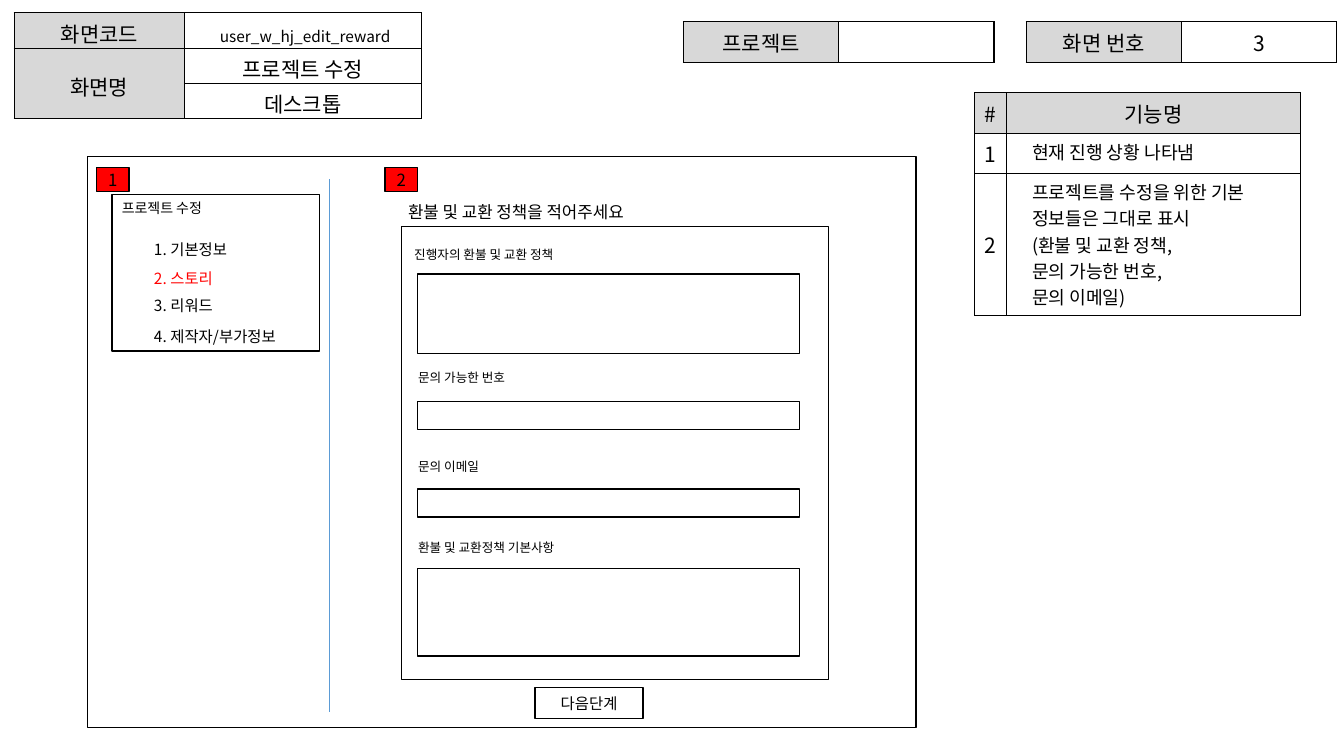
from lxml import etree
from pptx import Presentation
from pptx.dml.color import RGBColor
from pptx.enum.shapes import MSO_CONNECTOR, MSO_SHAPE
from pptx.enum.text import MSO_ANCHOR, PP_ALIGN
from pptx.oxml.ns import qn
from pptx.util import Pt

BLACK = RGBColor(0x00, 0x00, 0x00)
WHITE = RGBColor(0xFF, 0xFF, 0xFF)
GREY = RGBColor(0xD8, 0xD8, 0xD8)
RED = RGBColor(0xFF, 0x00, 0x00)
BLUE = RGBColor(0x5B, 0x9B, 0xD5)
FONT = "Noto Sans CJK KR"
RECT = MSO_SHAPE.RECTANGLE
STRAIGHT = MSO_CONNECTOR.STRAIGHT
MIDDLE, TOP = MSO_ANCHOR.MIDDLE, MSO_ANCHOR.TOP
CENTER, LEFT = PP_ALIGN.CENTER, PP_ALIGN.LEFT


def add_run(p, text, size, color=BLACK):
    r = p.add_run()
    r.text = text
    r.font.size = Pt(size)
    r.font.color.rgb = color
    r.font.name = FONT
    etree.SubElement(r.font._element, qn("a:ea"), typeface=FONT)


def add_label(shapes, x, y, w, h, text, size, color=BLACK):
    tf = shapes.add_textbox(Pt(x), Pt(y), Pt(w), Pt(h)).text_frame
    tf.word_wrap = True
    add_run(tf.paragraphs[0], text, size, color)


def add_box(shapes, x, y, w, h, text="", size=12, fill=None):
    sp = shapes.add_shape(RECT, Pt(x), Pt(y), Pt(w), Pt(h))
    sp.shadow.inherit = False
    if fill is None:
        sp.fill.background()
    else:
        sp.fill.solid()
        sp.fill.fore_color.rgb = fill
    sp.line.color.rgb = BLACK
    sp.line.width = Pt(1)
    if text:
        tf = sp.text_frame
        tf.vertical_anchor = MIDDLE
        tf.paragraphs[0].alignment = CENTER
        add_run(tf.paragraphs[0], text, size)


def add_badge(shapes, x, y, number):
    add_box(shapes, x, y, 23, 17.3, number, 12, RED)


def style_cell(cell, fill):
    tc_pr = cell._tc.get_or_add_tcPr()
    for side in ("lnL", "lnR", "lnT", "lnB"):
        ln = etree.SubElement(tc_pr, qn("a:" + side), w=str(Pt(1)))
        solid = etree.SubElement(ln, qn("a:solidFill"))
        etree.SubElement(solid, qn("a:srgbClr"), val=str(BLACK))
    cell.fill.solid()
    cell.fill.fore_color.rgb = fill
    cell.vertical_anchor = MIDDLE


def fill_cell(cell, lines, size=15, align=CENTER):
    """Each line is a list of (text, size) runs or one plain string."""
    tf = cell.text_frame
    for i, line in enumerate(lines):
        p = tf.paragraphs[0] if i == 0 else tf.add_paragraph()
        p.alignment = align
        for text, run_size in [(line, size)] if isinstance(line, str) else line:
            add_run(p, text, run_size)


def add_grid(shapes, x, y, widths, heights, is_header):
    table = shapes.add_table(len(heights), len(widths), Pt(x), Pt(y),
                             Pt(sum(widths)), Pt(sum(heights))).table
    for col, w in zip(table.columns, widths):
        col.width = Pt(w)
    for row, h in zip(table.rows, heights):
        row.height = Pt(h)
    for i in range(len(heights)):
        for j in range(len(widths)):
            style_cell(table.cell(i, j), GREY if is_header(i, j) else WHITE)
    return table


def first_column(i, j):
    return j == 0


def first_row(i, j):
    return i == 0


def screen_info(shapes, x, y):
    table = add_grid(shapes, x, y, [121.8, 169], [25.2] * 3, first_column)
    table.cell(1, 0).merge(table.cell(2, 0))
    texts = {(0, 0): "화면코드", (0, 1): [(" ", 15), ("user_w_hj_edit_reward", 11)],
             (1, 0): "화면명", (1, 1): "프로젝트 수정", (2, 1): "데스크톱"}
    for (i, j), line in texts.items():
        cell = table.cell(i, j)
        cell.margin_top, cell.margin_bottom = Pt(3.5), Pt(0)
        fill_cell(cell, [line])


def key_value(shapes, x, y, key, value):
    table = add_grid(shapes, x, y, [110.9, 110.9], [29.3], first_column)
    fill_cell(table.cell(0, 0), [key])
    if value:
        fill_cell(table.cell(0, 1), [value])


def feature_list(shapes, x, y):
    table = add_grid(shapes, x, y, [23, 209.8], [28.9, 28.9, 101.3], first_row)
    fill_cell(table.cell(0, 0), ["#"])
    fill_cell(table.cell(0, 1), ["기능명"])
    features = [
        ["현재 진행 상황 나타냄"],
        ["프로젝트를 수정을 위한 기본 정보들은 그대로 표시",
         "(환불 및 교환 정책,", "문의 가능한 번호,", "문의 이메일)"],
    ]
    for n, lines in enumerate(features, 1):
        fill_cell(table.cell(n, 0), [str(n)])
        cell = table.cell(n, 1)
        cell.vertical_anchor = TOP
        cell.margin_left = Pt(18)
        fill_cell(cell, lines, 13, LEFT)


def progress_panel(shapes, x, y):
    add_label(shapes, x, y, 113.8, 19.4, "프로젝트 수정", 10)
    steps = [("1. 기본정보", 28.8, BLACK), ("2. 스토리", 49.6, RED),
             ("3. 리워드", 69.1, BLACK), ("4. 제작자/부가정보", 91.4, BLACK)]
    for text, dy, color in steps:
        add_label(shapes, x + 23, dy + y, 154, 21, text, 11, color)
    add_box(shapes, x, y, 148.3, 111.6)
    add_badge(shapes, x - 10.8, y - 19.5, "1")


def policy_form(shapes, x, y):
    add_label(shapes, x - 2.2, y - 21.6, 237.6, 32.4,
              "환불 및 교환 정책을 적어주세요", 12)
    add_box(shapes, x, y, 305.3, 323.3)
    add_badge(shapes, x - 11.5, y - 42.5, "2")
    # Label, its left and top, then top and height of the input
    fields = [("진행자의 환불 및 교환 정책", 2.2, 10.8, 33.8, 56.9),
              ("문의 가능한 번호", 5, 98.6, 124.6, 20.2),
              ("문의 이메일", 5, 162, 187.2, 20.2),
              ("환불 및 교환정책 기본사항", 5, 220.3, 244.1, 62.6)]
    for text, label_x, label_y, input_y, input_h in fields:
        add_label(shapes, x + label_x, y + label_y, 237.6, 18, text, 9)
        add_box(shapes, x + 11.5, y + input_y, 272.9, input_h)
    add_box(shapes, x + 95.7, y + 329, 77, 22.3, "다음단계", 11)


def wireframe(shapes, x, y, w, h):
    # Divider between progress and form
    line_x = Pt(x + 172.8)
    line = shapes.add_connector(STRAIGHT, line_x, Pt(y + 16.6),
                                line_x, Pt(y + h - 11.5))
    line.line.color.rgb = BLUE
    line.line.width = Pt(0.5)
    etree.SubElement(line._element.spPr, qn("a:effectLst"))
    progress_panel(shapes, x + 17.3, y + 27.4)
    add_box(shapes, x, y, w, h)
    policy_form(shapes.add_group_shape().shapes, x + 224, y + 50.4)


def main():
    prs = Presentation()
    prs.slide_width, prs.slide_height = Pt(960), Pt(540)
    s = prs.slides.add_slide(prs.slide_layouts[6])
    # Header tables
    key_value(s.shapes, 733, 15.5, "화면 번호", "3")
    key_value(s.shapes, 488.2, 15.5, "프로젝트", "")
    feature_list(s.shapes, 696.2, 66.2)
    # Screen design
    wireframe(s.shapes, 62.6, 111.6, 591.8, 408.2)
    screen_info(s.shapes, 10.1, 9.2)
    prs.save("out.pptx")


if __name__ == "__main__":
    main()
